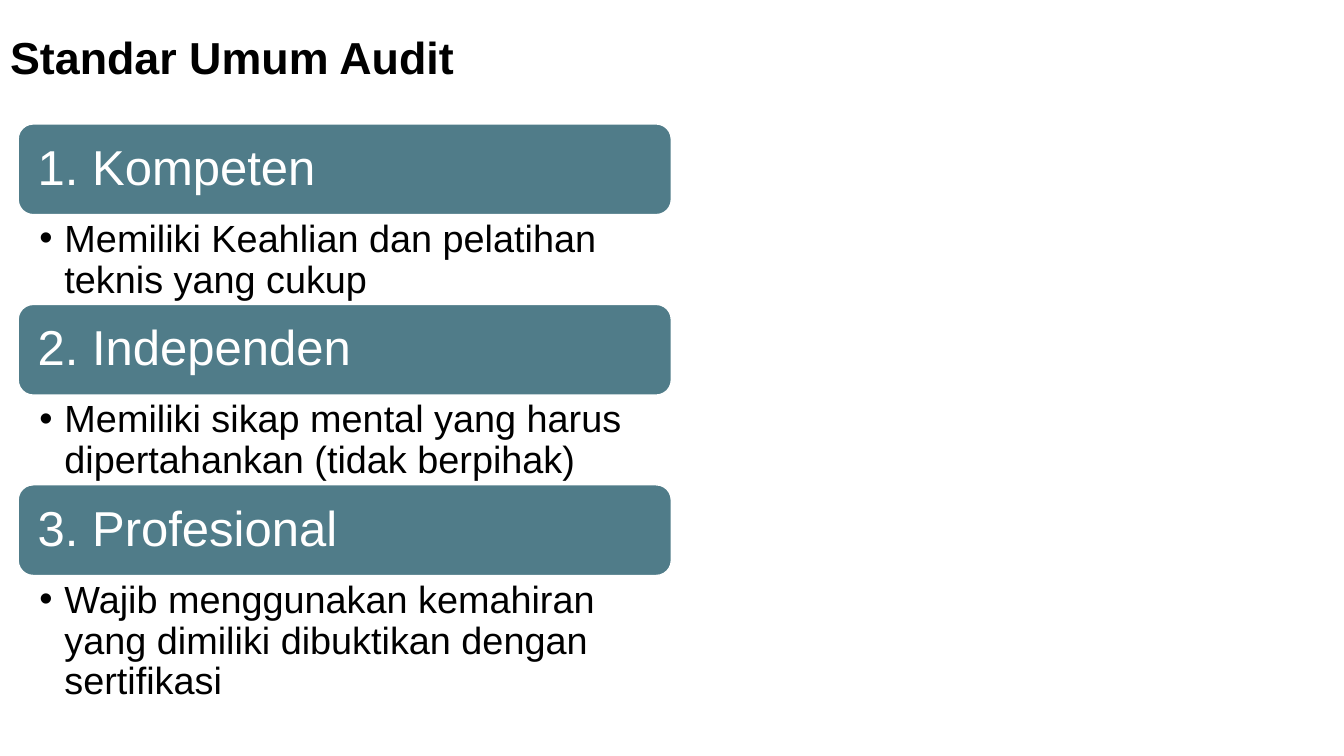
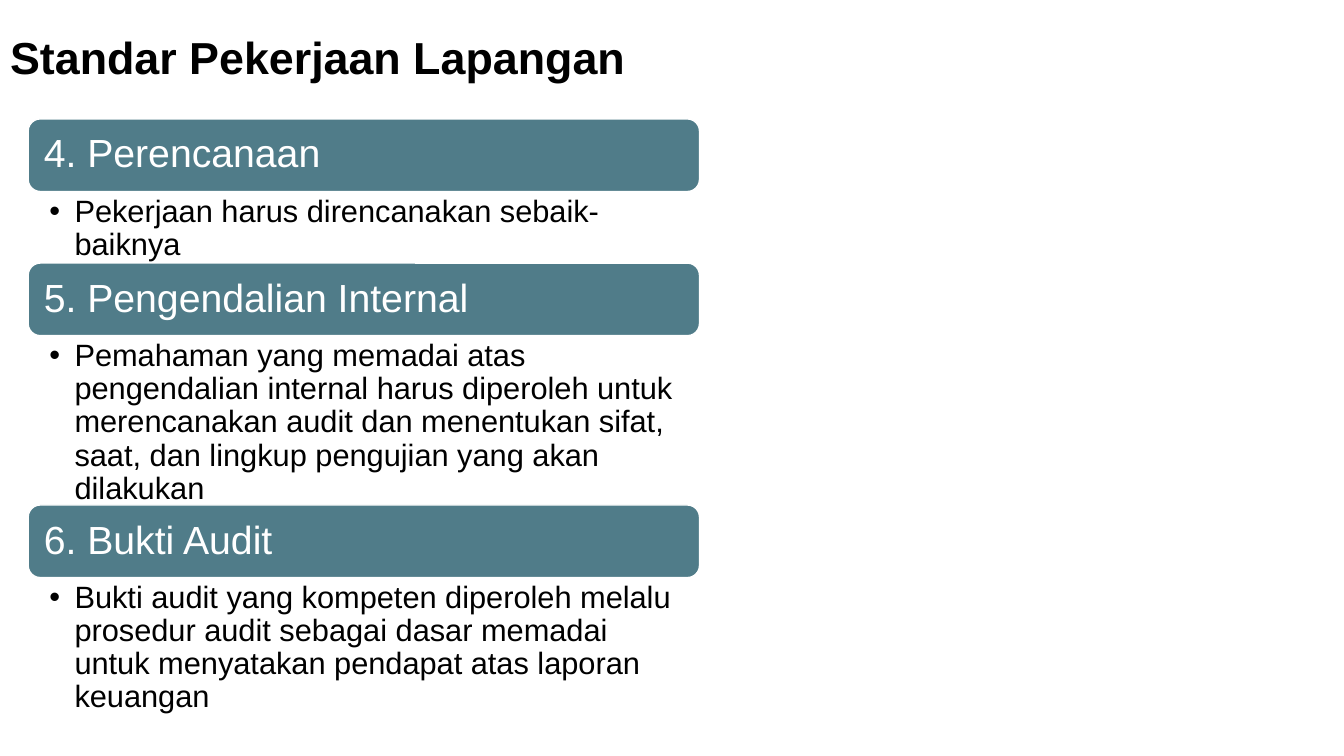
from dataclasses import dataclass

from lxml.etree import SubElement
from pptx import Presentation
from pptx.dml.color import RGBColor
from pptx.enum.shapes import MSO_SHAPE
from pptx.enum.text import MSO_ANCHOR, MSO_AUTO_SIZE, PP_ALIGN
from pptx.oxml.ns import qn
from pptx.util import Inches, Pt

CELL = 0.1
COLUMNS, ROWS = 133.33, 75
TEAL, WHITE, BLACK = "507C89", "FFFFFF", "000000"
FONT = "Arial"
TITLE_PLACE = (0, 3, 75, 11.2)
TITLE_SIZE = 32
INDENT = 2.5


@dataclass
class ListStyle:
    left: float
    top: float
    width: float
    heading_height: float
    heading_size: int
    heading_inset: float
    detail_size: int
    detail_insets: tuple


LARGE = ListStyle(1.8, 12.3, 64.8, 9, 35, 1.5, 27, (2.1, 0.5, 2.7, 0.5))
COMPACT = ListStyle(2.8, 11.8, 66.6, 7.2, 28, 1.2, 22, (2.1, 0.4, 2.2, 0.4))

PAGES = [
    ("Standar Umum Audit", LARGE, [
        ("1. Kompeten", "Memiliki Keahlian dan pelatihan teknis yang cukup", 8.9),
        ("2. Independen",
         "Memiliki sikap mental yang harus dipertahankan (tidak berpihak)", 8.9),
        ("3. Profesional",
         "Wajib menggunakan kemahiran yang dimiliki dibuktikan dengan sertifikasi", 12.7),
    ]),
    ("Standar Pekerjaan Lapangan", COMPACT, [
        ("4. Perencanaan", "Pekerjaan harus direncanakan sebaik-baiknya", 7.1),
        ("5. Pengendalian Internal",
         "Pemahaman yang memadai atas pengendalian internal harus diperoleh untuk "
         "merencanakan audit dan menentukan sifat, saat, dan lingkup pengujian yang "
         "akan dilakukan", 16.8),
        ("6. Bukti Audit",
         "Bukti audit yang kompeten diperoleh melalu prosedur audit sebagai dasar "
         "memadai untuk menyatakan pendapat atas laporan keuangan", 13.6),
    ]),
]


def cells(count):
    return Inches(count * CELL)


def color(value):
    return RGBColor.from_string(value)


def assign(target, values):
    for name, value in values.items():
        setattr(target, name, value)


def add_bullet(para):
    properties = para._p.get_or_add_pPr()
    properties.set("marL", str(cells(INDENT)))
    properties.set("indent", str(-cells(INDENT)))
    SubElement(properties, qn("a:buFont"), typeface=FONT)
    SubElement(properties, qn("a:buChar"), char="•")


def write(shape, text, size, ink, insets, anchor=MSO_ANCHOR.TOP, bold=False, bullet=False):
    frame = shape.text_frame
    sides = ("margin_left", "margin_top", "margin_right", "margin_bottom")
    assign(frame, dict(zip(sides, map(cells, insets))))
    assign(frame, {"word_wrap": True, "auto_size": MSO_AUTO_SIZE.NONE,
                   "vertical_anchor": anchor})
    para = frame.paragraphs[0]
    assign(para, {"alignment": PP_ALIGN.LEFT, "line_spacing": 0.9})
    if bullet:
        add_bullet(para)
    span = para.add_run()
    span.text = text
    assign(span.font, {"name": FONT, "size": Pt(size), "bold": bold})
    span.font.color.rgb = color(ink)


def add_title(page, text):
    title = page.shapes.title
    assign(title, dict(zip(("left", "top", "width", "height"), map(cells, TITLE_PLACE))))
    write(title, text, TITLE_SIZE, BLACK, (1, 0.5, 1, 0.5), bold=True)


def add_heading(page, text, top, style):
    place = map(cells, (style.left, top, style.width, style.heading_height))
    bar = page.shapes.add_shape(MSO_SHAPE.ROUNDED_RECTANGLE, *place)
    bar.shadow.inherit = False
    bar.fill.solid()
    bar.fill.fore_color.rgb = color(TEAL)
    bar.line.color.rgb = color(WHITE)
    bar.line.width = Pt(1)
    write(bar, text, style.heading_size, WHITE, [style.heading_inset] * 4, MSO_ANCHOR.MIDDLE)


def add_detail(page, text, top, height, style):
    box = page.shapes.add_textbox(*map(cells, (style.left, top, style.width, height)))
    write(box, text, style.detail_size, BLACK, style.detail_insets, bullet=True)


def add_standards(page, standards, style):
    top = style.top
    for heading, detail, detail_height in standards:
        add_heading(page, heading, top, style)
        top += style.heading_height
        add_detail(page, detail, top, detail_height, style)
        top += detail_height


def main():
    deck = Presentation()
    assign(deck, {"slide_width": cells(COLUMNS), "slide_height": cells(ROWS)})
    title_only = deck.slide_layouts[5]
    for title, style, standards in PAGES:
        page = deck.slides.add_slide(title_only)
        add_title(page, title)
        add_standards(page, standards, style)
    deck.save("out.pptx")


if __name__ == "__main__":
    main()
